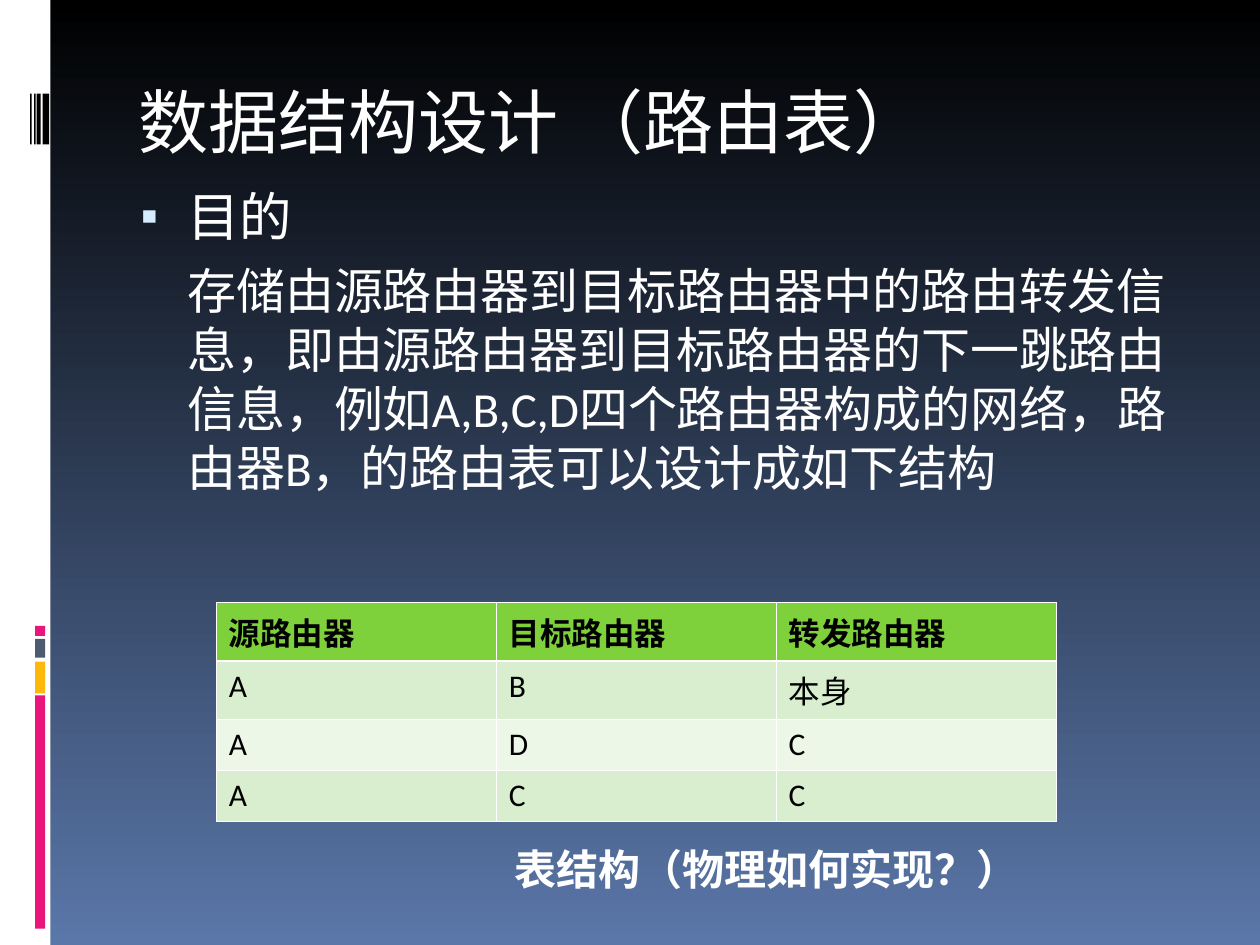
from lxml.etree import SubElement
from pptx import Presentation
from pptx.dml.color import RGBColor
from pptx.enum.shapes import MSO_SHAPE
from pptx.enum.text import MSO_ANCHOR, MSO_AUTO_SIZE, PP_ALIGN
from pptx.oxml.ns import qn
from pptx.util import Cm, Pt

WHITE = RGBColor(0xFF, 0xFF, 0xFF)
BLACK = RGBColor(0x00, 0x00, 0x00)
SKY = RGBColor(0x5A, 0x77, 0xA9)
PINK = RGBColor(0xEA, 0x15, 0x7A)
AMBER = RGBColor(0xFE, 0xB8, 0x0A)
SLATE = RGBColor(0x4E, 0x5B, 0x6F)
ICE = RGBColor(0xD6, 0xEC, 0xFF)
GREEN = RGBColor(0x7F, 0xD1, 0x3B)
LIGHT_GREEN = RGBColor(0xD8, 0xEE, 0xCE)
PALE_GREEN = RGBColor(0xEC, 0xF7, 0xE8)

BARS = [
    (0, 0, 1.02, 19.05, WHITE),
    (0.71, 14.02, 0.2, 4.7, PINK),
    (0.71, 13.34, 0.2, 0.64, AMBER),
    (0.71, 12.88, 0.2, 0.38, SLATE),
    (0.71, 12.62, 0.2, 0.2, PINK),
    (0.86, 1.89, 0.13, 1.02, BLACK),
    (0.74, 1.89, 0.08, 1.02, BLACK),
    (0.69, 1.89, 0.03, 1.02, BLACK),
    (0.61, 1.89, 0.03, 1.02, BLACK),
]
ROUTES = [
    ("源路由器", "目标路由器", "转发路由器"),
    ("A", "B", "本身"),
    ("A", "D", "C"),
    ("A", "C", "C"),
]
PURPOSE = (
    "存储由源路由器到目标路由器中的路由转发信息，即由源路由器到目标路由器的下一跳路由信息，"
    "例如A,B,C,D四个路由器构成的网络，路由器B，的路由表可以设计成如下结构"
)


class SlideBuilder:
    body_font = "Calibri"

    def __init__(self, slide):
        self.slide = slide

    def background(self, top, bottom):
        fill = self.slide.background.fill
        fill.gradient()
        fill.gradient_angle = 270
        for stop, position, color in zip(fill.gradient_stops, (0, 1), (top, bottom)):
            stop.position = position
            stop.color.rgb = color

    def bar(self, left, top, width, height, color):
        shape = self.slide.shapes.add_shape(
            MSO_SHAPE.RECTANGLE, Cm(left), Cm(top), Cm(width), Cm(height))
        shape.shadow.inherit = False
        shape.fill.solid()
        shape.fill.fore_color.rgb = color
        shape.line.fill.background()

    def place(self, shape, left, top, width, height, anchor=MSO_ANCHOR.TOP):
        shape.left, shape.top = Cm(left), Cm(top)
        shape.width, shape.height = Cm(width), Cm(height)
        frame = shape.text_frame
        frame.word_wrap = True
        frame.auto_size = MSO_AUTO_SIZE.NONE
        frame.vertical_anchor = anchor
        return frame

    def style(self, paragraph, size, color=WHITE, bold=False, name=body_font):
        paragraph.alignment = PP_ALIGN.LEFT
        for run in paragraph.runs:
            run.font.size = Pt(size)
            run.font.name = name
            run.font.bold = bold
            run.font.color.rgb = color

    def title(self, text):
        frame = self.place(self.slide.shapes.title, 2.54, 1.45, 21.59, 2.54)
        frame.text = text
        self.style(frame.paragraphs[0], 40, name="Courier New")

    def body(self, heading, detail):
        frame = self.place(self.slide.placeholders[1], 2.38, 3.58, 21.59, 12.7)
        frame.text = heading
        first, second = frame.paragraphs[0], frame.add_paragraph()
        second.text = detail
        for paragraph, size, space in ((first, 30, 0), (second, 28, 8)):
            paragraph.space_before = Pt(space)
            self.bullet(paragraph, paragraph is first)
            self.style(paragraph, size)

    def bullet(self, paragraph, shown):
        properties = paragraph._p.get_or_add_pPr()
        properties.set("marL", str(Cm(1.14)))
        properties.set("indent", str(Cm(-0.94) if shown else 0))
        if not shown:
            SubElement(properties, qn("a:buNone"))
            return
        color = SubElement(properties, qn("a:buClr"))
        SubElement(color, qn("a:srgbClr"), val=str(ICE))
        SubElement(properties, qn("a:buSzPct"), val="95000")
        SubElement(properties, qn("a:buChar"), char="▪")

    def borders(self, cell, **widths):
        properties = cell._tc.get_or_add_tcPr()
        for side in "LRTB":
            width = Pt(widths.get(side, 0.45))
            line = SubElement(properties, qn(f"a:ln{side}"), w=str(width))
            fill = SubElement(line, qn("a:solidFill"))
            SubElement(fill, qn("a:srgbClr"), val=str(WHITE))

    def table(self, rows, left, top, width, height):
        table = self.slide.shapes.add_table(
            len(rows), len(rows[0]), Cm(left), Cm(top), Cm(width), Cm(height)).table
        for row, texts in enumerate(rows):
            color = GREEN if row == 0 else LIGHT_GREEN if row % 2 else PALE_GREEN
            heavy = {0: {"B": 1.47}, 1: {"T": 1.47}}.get(row, {})
            for column, text in enumerate(texts):
                cell = table.cell(row, column)
                self.borders(cell, **heavy)
                cell.fill.solid()
                cell.fill.fore_color.rgb = color
                cell.text = text
                self.style(cell.text_frame.paragraphs[0], 18, BLACK, bold=row == 0)

    def caption(self, text, *box):
        shape = self.slide.shapes.add_textbox(0, 0, 0, 0)
        frame = self.place(shape, *box, anchor=MSO_ANCHOR.MIDDLE)
        frame.text = text
        self.style(frame.paragraphs[0], 24, bold=True, name="Arial")


def main():
    presentation = Presentation()
    presentation.slide_width, presentation.slide_height = Cm(25.4), Cm(19.05)
    builder = SlideBuilder(presentation.slides.add_slide(presentation.slide_layouts[1]))
    builder.background(BLACK, SKY)
    for bar in BARS:
        builder.bar(*bar)
    builder.title("数据结构设计 （路由表）")
    builder.body("目的", PURPOSE)
    builder.table(ROUTES, 4.36, 12.15, 16.93, 4.11)
    builder.caption("表结构（物理如何实现？）", 10.12, 16.87, 11.71, 1.27)
    presentation.save("out.pptx")


if __name__ == "__main__":
    main()
